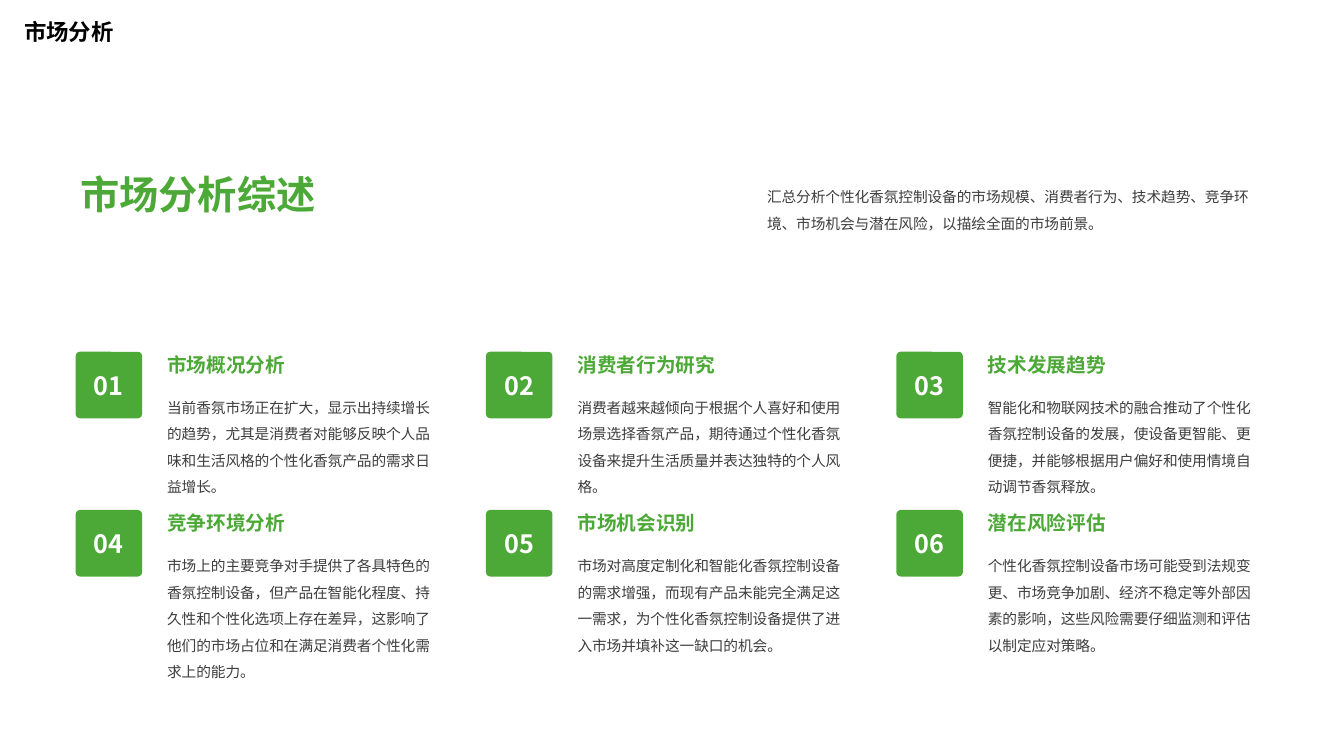
from lxml import etree
from pptx import Presentation
from pptx.dml.color import RGBColor
from pptx.enum.shapes import MSO_SHAPE
from pptx.enum.text import MSO_ANCHOR, MSO_AUTO_SIZE, PP_ALIGN
from pptx.oxml.ns import qn
from pptx.util import Inches, Pt

ROUND = MSO_SHAPE.ROUNDED_RECTANGLE
MIDDLE = MSO_ANCHOR.MIDDLE
GROW = MSO_AUTO_SIZE.SHAPE_TO_FIT_TEXT
CENTER = PP_ALIGN.CENTER

FONT = "Noto Sans CJK SC"
COLORS = {"green": "4DA937", "ink": "0D0D0D", "black": "000000", "white": "FFFFFF"}

# Card grid
LEFT, TOP = 0.75, 3.49
COL_STEP, ROW_STEP = 4.07, 1.57
COLS = 3
BADGE = 0.66

SUMMARY = "汇总分析个性化香氛控制设备的市场规模、消费者行为、技术趋势、竞争环境、市场机会与潜在风险，以描绘全面的市场前景。"
CARDS = [
    ("市场概况分析", "当前香氛市场正在扩大，显示出持续增长的趋势，尤其是消费者对能够反映个人品味和生活风格的个性化香氛产品的需求日益增长。"),
    ("消费者行为研究", "消费者越来越倾向于根据个人喜好和使用场景选择香氛产品，期待通过个性化香氛设备来提升生活质量并表达独特的个人风格。"),
    ("技术发展趋势", "智能化和物联网技术的融合推动了个性化香氛控制设备的发展，使设备更智能、更便捷，并能够根据用户偏好和使用情境自动调节香氛释放。"),
    ("竞争环境分析", "市场上的主要竞争对手提供了各具特色的香氛控制设备，但产品在智能化程度、持久性和个性化选项上存在差异，这影响了他们的市场占位和在满足消费者个性化需求上的能力。"),
    ("市场机会识别", "市场对高度定制化和智能化香氛控制设备的需求增强，而现有产品未能完全满足这一需求，为个性化香氛控制设备提供了进入市场并填补这一缺口的机会。"),
    ("潜在风险评估", "个性化香氛控制设备市场可能受到法规变更、市场竞争加剧、经济不稳定等外部因素的影响，这些风险需要仔细监测和评估以制定应对策略。"),
]


def set_text(frame, text, size, color, bold=True):
    frame.text = text
    run = frame.paragraphs[0].runs[0]
    font = run.font
    font.size, font.bold, font.name = Pt(size), bold, FONT
    font.color.rgb = RGBColor.from_string(COLORS[color])
    # East Asian glyphs need their own typeface entry
    latin = font._element.find(qn("a:latin"))
    east = etree.Element(qn("a:ea"), typeface=FONT)
    latin.addnext(east)
    return run


def add_label(slide, box, text, size, color, bold=True, wrap=True):
    frame = slide.shapes.add_textbox(*map(Inches, box)).text_frame
    run = set_text(frame, text, size, color, bold)
    frame.word_wrap = wrap
    frame.auto_size = GROW
    return frame.paragraphs[0], run


def add_body(slide, box, text):
    para, run = add_label(slide, box, text, 10.5, "ink", bold=False)
    para.line_spacing = 1.5
    # 80% opaque ink
    tint = run.font._element.find(".//" + qn("a:srgbClr"))
    etree.SubElement(tint, qn("a:alpha"), val="80000")


def add_badge(slide, left, top, text):
    badge = slide.shapes.add_shape(ROUND, *map(Inches, (left, top, BADGE, BADGE)))
    badge.adjustments[0] = 0.065
    badge.shadow.inherit = False
    badge.fill.solid()
    badge.fill.fore_color.rgb = RGBColor.from_string(COLORS["green"])
    badge.line.fill.background()
    frame = badge.text_frame
    set_text(frame, text, 18, "white")
    frame.word_wrap = False
    frame.vertical_anchor = MIDDLE
    frame.paragraphs[0].alignment = CENTER


def add_card(slide, index, title, body):
    row, col = divmod(index, COLS)
    left, top = LEFT + col * COL_STEP, TOP + row * ROW_STEP
    height = 1.43 if len(body) > 72 else 1.16
    add_badge(slide, left, top, f"{index + 1:02d}")
    add_label(slide, (left + 0.81, top - 0.04, 1.76, 0.34), title, 14, "green")
    add_body(slide, (left + 0.81, top + 0.33, 2.93, height), body)


def main():
    deck = Presentation()
    deck.slide_width, deck.slide_height = Inches(13.33), Inches(7.5)
    slide = deck.slides.add_slide(deck.slide_layouts[6])

    # Headings and summary
    add_label(slide, (0.14, 0.13, 1.09, 0.37), "市场分析", 16, "black", wrap=False)
    add_label(slide, (0.7, 1.64, 5.11, 0.57), "市场分析综述", 28, "green")
    add_body(slide, (7.51, 1.73, 5.06, 0.63), SUMMARY)

    # Numbered cards
    for index, (title, body) in enumerate(CARDS):
        add_card(slide, index, title, body)

    deck.save("out.pptx")


if __name__ == "__main__":
    main()
